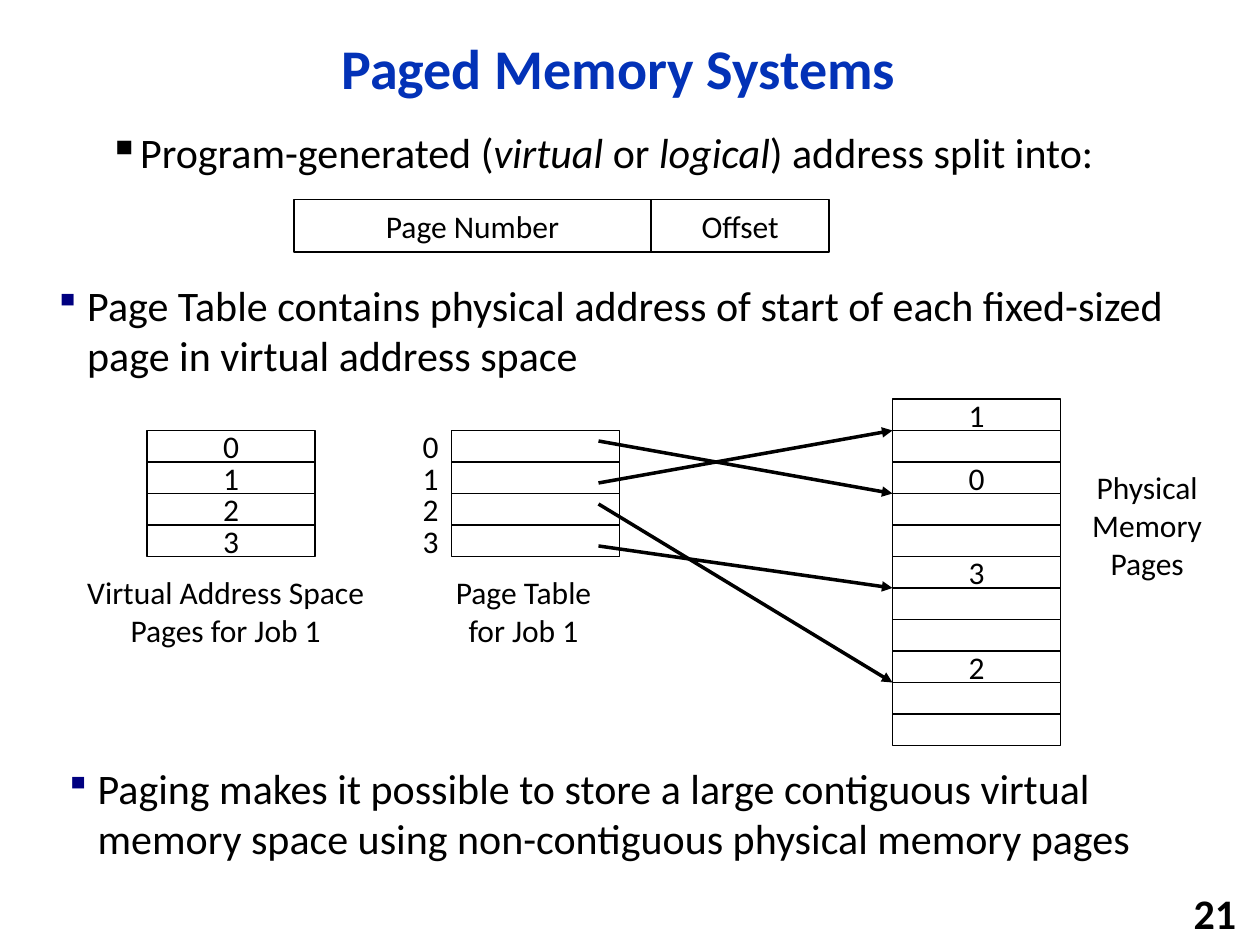
from lxml import etree
from pptx import Presentation
from pptx import util as u
from pptx.dml.color import RGBColor
from pptx.enum import shapes, text
from pptx.oxml import ns

BLACK = RGBColor(0, 0, 0)
WHITE = RGBColor(255, 255, 255)
BLUE = RGBColor(0x03, 0x32, 0xB7)
NAVY = RGBColor(0, 0, 0x80)
LEFT, CENTER, RIGHT = text.PP_ALIGN.LEFT, text.PP_ALIGN.CENTER, text.PP_ALIGN.RIGHT
TOP, MIDDLE = text.MSO_ANCHOR.TOP, text.MSO_ANCHOR.MIDDLE

TITLE = "Paged Memory Systems"
ADDRESS_SPLIT = [("Program-generated (", False), ("virtual", True), (" or ", False),
                 ("logical", True), (") address split into:", False)]
POINTS = [
    ((24, 156, 672, 54), "Page Table contains physical address of start of each "
     "fixed-sized page in virtual address space"),
    ((30, 432, 672, 54), "Paging makes it possible to store a large contiguous virtual "
     "memory space using non-contiguous physical memory pages"),
]
LABELS = [
    ((41.5, 324, 175, 50.4), ["Virtual Address Space Pages for Job 1"], True),
    ((252, 324, 94.3, 50.4), ["Page Table", "for Job 1"], False),
    ((591, 264, 129, 72.7), ["Physical Memory", "Pages"], True),
]
ADDRESS_FIELDS = [("Page Number", 168, 204), ("Offset", 372, 102)]
VIRTUAL_PAGES = ["0", "1", "2", "3"]
PHYSICAL_PAGES = ["1", "", "0", "", "", "3", "", "", "2", "", ""]
ARROW_STARTS = {"0": 252, "1": 276, "2": 288, "3": 312}

ROW, CELL = 18, 96
VIRTUAL_LEFT, INDEX_LEFT, TABLE_LEFT, PHYSICAL_LEFT = 84, 234, 258, 510
JOB_TOP, PHYSICAL_TOP = 246, 228
ARROW_LEFT = 342

deck = Presentation()
deck.slide_width, deck.slide_height = u.Pt(720), u.Pt(540)
page = deck.slides.add_slide(deck.slide_layouts[6])


def assign(target, values):
    for name, value in values.items():
        setattr(target, name, value)


def write(box, paragraphs, size, align=CENTER, anchor=TOP, wrap=True, margins=None,
          color=BLACK, bold=False, spacing=None):
    frame = box.text_frame
    assign(frame, {"word_wrap": wrap, "vertical_anchor": anchor})
    if margins is not None:
        for side in ("left", "top", "right", "bottom"):
            setattr(frame, f"margin_{side}", u.Pt(margins))
    for index, spans in enumerate(paragraphs):
        para = frame.add_paragraph() if index else frame.paragraphs[0]
        para.alignment = align
        if spacing:
            para.line_spacing = spacing
        for words, italic in spans:
            span = para.add_run()
            span.text = words
            assign(span.font, {"name": "Calibri", "size": u.Pt(size),
                               "bold": bold, "italic": italic})
            span.font.color.rgb = color


def add_text(place, paragraphs, size, **options):
    box = page.shapes.add_textbox(*map(u.Pt, place))
    write(box, paragraphs, size, **options)
    return box


def add_bullet(box, indent, color=BLACK, percent=100):
    properties = box.text_frame.paragraphs[0]._p.get_or_add_pPr()
    properties.set("marL", str(u.Pt(indent)))
    properties.set("indent", str(-u.Pt(indent)))
    paint = etree.SubElement(properties, ns.qn("a:buClr"))
    etree.SubElement(paint, ns.qn("a:srgbClr"), val=str(color))
    etree.SubElement(properties, ns.qn("a:buSzPct"), val=str(percent * 1000))
    etree.SubElement(properties, ns.qn("a:buChar"), char="▪")


def add_cell(place, words, filled=True, outlined=True):
    cell = page.shapes.add_shape(shapes.MSO_SHAPE.RECTANGLE, *map(u.Pt, place))
    cell.shadow.inherit = False
    if filled:
        cell.fill.solid()
        cell.fill.fore_color.rgb = WHITE
    else:
        cell.fill.background()
    if outlined:
        cell.line.color.rgb = BLACK
        cell.line.width = u.Pt(1)
    else:
        cell.line.fill.background()
    if words:
        write(cell, [[(words, False)]], 18, anchor=MIDDLE, wrap=False, margins=0)


def add_column(left, top, width, labels, **options):
    for row, words in enumerate(labels):
        add_cell((left, top + row * ROW, width, ROW), words, **options)


def add_arrow(start, end):
    arrow = page.shapes.add_connector(shapes.MSO_CONNECTOR.STRAIGHT,
                                      *map(u.Pt, (*start, *end)))
    arrow.line.color.rgb = BLACK
    arrow.line.width = u.Pt(2)
    etree.SubElement(arrow.line._get_or_add_ln(), ns.qn("a:tailEnd"), type="triangle")
    etree.SubElement(arrow._element.spPr, ns.qn("a:effectLst"))


add_text((66, 12, 575, 58), [[(TITLE, False)]], 32, anchor=MIDDLE,
         color=BLUE, bold=True, spacing=0.9)
split = add_text((55, 72, 605, 410), [ADDRESS_SPLIT], 24, align=LEFT, spacing=0.9)
add_bullet(split, 18)
add_text((564, 510, 149.5, 23), [[("21", False)]], 24, align=RIGHT, anchor=MIDDLE,
         wrap=False, bold=True)

for place, words in POINTS:
    add_bullet(add_text(place, [[(words, False)]], 24, align=LEFT), 18.75, NAVY, 85)
for place, lines, wrap in LABELS:
    add_text(place, [[(line, False)] for line in lines], 18, wrap=wrap)

for words, left, width in ADDRESS_FIELDS:
    add_cell((left, 114, width, 30), words, filled=False)
add_column(VIRTUAL_LEFT, JOB_TOP, CELL, VIRTUAL_PAGES)
add_column(INDEX_LEFT, JOB_TOP, TABLE_LEFT - INDEX_LEFT, VIRTUAL_PAGES, outlined=False)
add_column(TABLE_LEFT, JOB_TOP, CELL, [""] * len(VIRTUAL_PAGES))
add_column(PHYSICAL_LEFT, PHYSICAL_TOP, CELL, PHYSICAL_PAGES)

for number, start in ARROW_STARTS.items():
    bottom = PHYSICAL_TOP + (PHYSICAL_PAGES.index(number) + 1) * ROW
    add_arrow((ARROW_LEFT, start), (PHYSICAL_LEFT, bottom))

deck.save("out.pptx")
